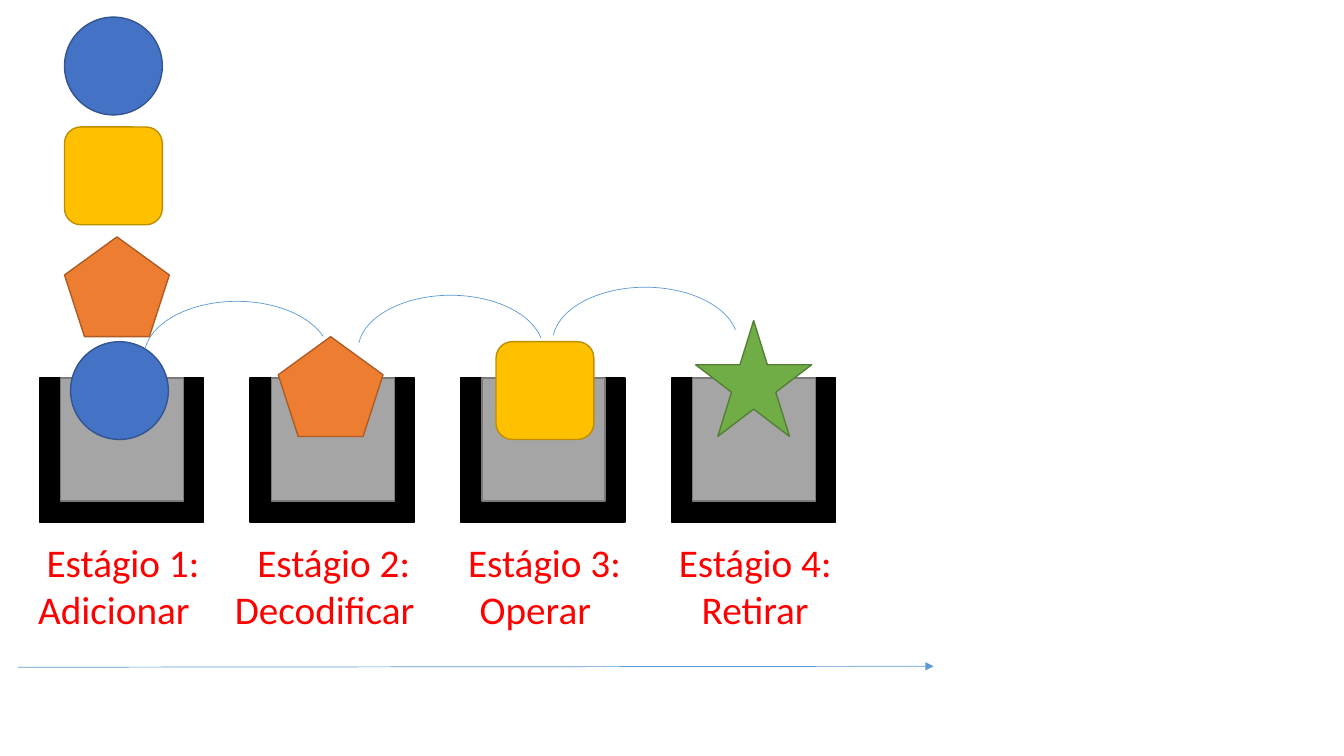
"""Build a slide of a four-stage pipeline with shapes moving through it."""
import pptx
import pptx.util
from lxml import etree
from pptx.dml.color import RGBColor
from pptx.enum.shapes import MSO_CONNECTOR, MSO_SHAPE
from pptx.enum.text import MSO_ANCHOR, PP_ALIGN
from pptx.oxml.ns import qn
from pptx.util import Inches, Pt

THEME = {
    "font": "Calibri", "size": 28, "text": "FF0000", "flow": "5B9BD5",
    "wall": ("000000", "000000"), "well": ("A5A5A5", "7A7A7A"),
    "blue": ("4472C4", "325491"), "gold": ("FFC000", "BD8E00"),
    "orange": ("ED7D31", "AF5C24"), "green": ("70AD47", "538035"),
}
PITCH = 2.09
SHIFT = 0.18

deck = pptx.Presentation()
deck.slide_width, deck.slide_height = Inches(13.33), Inches(7.5)
slide = deck.slides.add_slide(deck.slide_layouts[6])


def draw(kind, tone, left, top, width, height):
    """Add a filled and outlined shape."""
    shape = slide.shapes.add_shape(
        kind, Inches(left), Inches(top), Inches(width), Inches(height))
    shape.shadow.inherit = False
    fill, edge = THEME[tone]
    shape.fill.solid()
    shape.fill.fore_color.rgb = RGBColor.from_string(fill)
    shape.line.color.rgb = RGBColor.from_string(edge)
    shape.line.width = Pt(1)


stages = ["Adicionar", "Decodificar", "Operar", "Retirar"]
for i, name in enumerate(stages):
    left = PITCH * i
    draw(MSO_SHAPE.RECTANGLE, "wall", left + 0.39, 3.75, 1.63, 1.43)
    draw(MSO_SHAPE.RECTANGLE, "well", left + 0.6, 3.75, 1.22, 1.22)
    label = slide.shapes.add_textbox(
        Inches(left + 0.12), Inches(5.29), Inches(2.2), Inches(1.04))
    frame = label.text_frame
    frame.word_wrap = True
    frame.vertical_anchor = MSO_ANCHOR.TOP
    shift = 0 if name == "Retirar" else SHIFT
    frame.margin_left = Inches(0.1 - shift / 2)
    frame.margin_right = Inches(0.1 + shift / 2)
    for row, text in enumerate([f"Estágio {i + 1}:", name]):
        para = frame.add_paragraph() if row else frame.paragraphs[0]
        para.alignment = PP_ALIGN.CENTER
        if shift and row == 0:
            para._p.get_or_add_pPr().set("marL", str(Inches(shift)))
        run = para.add_run()
        run.text = text
        run.font.name = THEME["font"]
        run.font.size = Pt(THEME["size"])
        run.font.color.rgb = RGBColor.from_string(THEME["text"])

items = [
    (MSO_SHAPE.OVAL, "blue", 0.7, 3.39, 0.97, 0.97),
    (MSO_SHAPE.REGULAR_PENTAGON, "orange", 2.76, 3.34, 1.04, 0.99),
    (MSO_SHAPE.ROUNDED_RECTANGLE, "gold", 4.92, 3.39, 0.97, 0.97),
    (MSO_SHAPE.STAR_5_POINT, "green", 6.9, 3.18, 1.15, 1.15),
    (MSO_SHAPE.REGULAR_PENTAGON, "orange", 0.64, 2.35, 1.04, 0.99),
    (MSO_SHAPE.ROUNDED_RECTANGLE, "gold", 0.64, 1.26, 0.97, 0.97),
    (MSO_SHAPE.OVAL, "blue", 0.64, 0.17, 0.97, 0.97),
]
for item in items:
    draw(*item)

arrow = slide.shapes.add_connector(
    MSO_CONNECTOR.STRAIGHT, Inches(0.18), Inches(6.62), Inches(9.26), Inches(6.61))
arrow.line.color.rgb = RGBColor.from_string(THEME["flow"])
arrow.line.width = Pt(0.5)
etree.SubElement(arrow.line._get_or_add_ln(), qn("a:tailEnd"), type="triangle")
etree.SubElement(arrow._element.spPr, qn("a:effectLst"))

for left, top, end in [(1.43, 2.99, 208.03), (3.55, 2.93, 211.11), (5.48, 2.85, 211.11)]:
    hop = slide.shapes.add_shape(
        MSO_SHAPE.ARC, Inches(left), Inches(top), Inches(1.84), Inches(1.1))
    hop.shadow.inherit = False
    hop.adjustments[0] = 110.94
    hop.adjustments[1] = end
    hop.fill.background()
    hop.line.color.rgb = RGBColor.from_string(THEME["flow"])
    hop.line.width = Pt(0.5)

deck.save("out.pptx")
